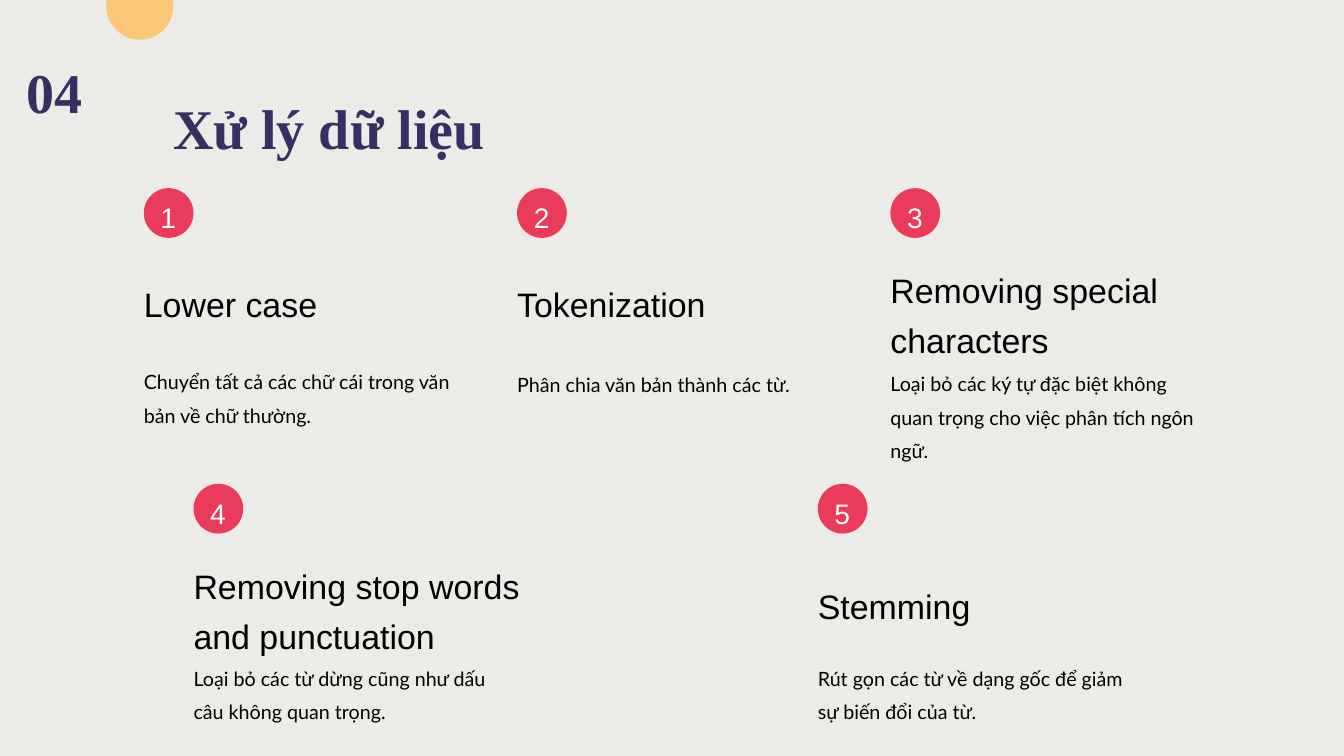
from lxml import etree
from pptx import Presentation
from pptx.dml.color import RGBColor
from pptx.enum.shapes import MSO_SHAPE
from pptx.enum.text import PP_ALIGN
from pptx.oxml.ns import qn
from pptx.util import Inches, Pt

OVAL = MSO_SHAPE.OVAL
LEFT, CENTER = PP_ALIGN.LEFT, PP_ALIGN.CENTER

FORMATS = {
    "title": dict(name="Times New Roman", size=60, bold=True, color="363062", spacing=1.4, align=LEFT),
    "number": dict(name="Arial", size=30.2, bold=False, color="FFFFFF", spacing=1.24, align=CENTER),
    "heading": dict(name="Arial", size=36.3, bold=False, color="000000", spacing=1.24, align=LEFT),
    "body": dict(name="Lato", size=21.1, bold=False, color="000000", spacing=1.4, align=LEFT),
}

presentation = Presentation()
presentation.slide_width, presentation.slide_height = Inches(20), Inches(11.25)
slide = presentation.slides.add_slide(presentation.slide_layouts[6])
slide.background.fill.solid()
slide.background.fill.fore_color.rgb = RGBColor.from_string("EDEBE8")


def add_circle(left, top, diameter, color):
    circle = slide.shapes.add_shape(OVAL, *map(Inches, (left, top, diameter, diameter)))
    circle.shadow.inherit = False
    circle.fill.solid()
    circle.fill.fore_color.rgb = RGBColor.from_string(color)
    circle.line.fill.background()
    return circle


def add_text(text, kind, left, top, width, height):
    style = FORMATS[kind]
    frame = slide.shapes.add_textbox(*map(Inches, (left, top, width, height))).text_frame
    frame.word_wrap = True
    for side in ("left", "top", "right", "bottom"):
        setattr(frame, f"margin_{side}", 0)
    paragraph = frame.paragraphs[0]
    paragraph.line_spacing = style["spacing"]
    paragraph.alignment = style["align"]
    run = paragraph.add_run()
    run.text = text
    for attribute in ("name", "bold"):
        setattr(run.font, attribute, style[attribute])
    run.font.size = Pt(style["size"])
    run.font.color.rgb = RGBColor.from_string(style["color"])


sun = add_circle(1.58, -0.41, 1, "FFBD59")
sun_color = sun.fill._xPr.find(qn("a:solidFill"))[0]
etree.SubElement(sun_color, qn("a:alpha"), val="80000")

add_text("Xử lý dữ liệu", "title", 2.58, 0.99, 11.25, 1.01)
add_text("04", "title", 0.39, 0.45, 1.19, 1.01)

BADGE = 0.74
BODY_WIDTH = 4.61
LINE = 0.405
FIRST_COLUMN, COLUMN_STEP = 2.14, 5.555
UPPER_ROW, LOWER_ROW = 2.8, 7.2
columns = [FIRST_COLUMN + COLUMN_STEP * index for index in range(3)]

# left, top, heading, heading offset, width and lines, body, body offset and lines
steps = [
    (columns[0], UPPER_ROW, "Lower case", 1.27, 4.61, 1,
     "Chuyển tất cả các chữ cái trong văn bản về chữ thường.", 2.57, 2),
    (columns[1], UPPER_ROW, "Tokenization", 1.28, 4.61, 1,
     "Phân chia văn bản thành các từ.", 2.6, 1),
    (columns[2], UPPER_ROW, "Removing special characters", 1.06, 4.43, 2,
     "Loại bỏ các ký tự đặc biệt không quan trọng cho việc phân tích ngôn ngữ.", 2.6, 3),
    (columns[0] + BADGE, LOWER_ROW, "Removing stop words and punctuation", 1.07, 5.55, 2,
     "Loại bỏ các từ dừng cũng như dấu câu không quan trọng.", 2.58, 2),
    (12.17, LOWER_ROW, "Stemming", 1.37, 2.67, 1,
     "Rút gọn các từ về dạng gốc để giảm sự biến đổi của từ.", 2.58, 2),
]

for number, step in enumerate(steps, start=1):
    left, top, heading, heading_drop, heading_width, heading_lines, body, body_drop, body_lines = step
    add_circle(left, top, BADGE, "EB3B5A")
    add_text(str(number), "number", left + 0.11, top + 0.06, 0.51, 0.59)
    add_text(heading, "heading", left, top + heading_drop, heading_width, 0.66 * heading_lines)
    add_text(body, "body", left, top + body_drop, BODY_WIDTH, LINE * body_lines)

presentation.save("out.pptx")
